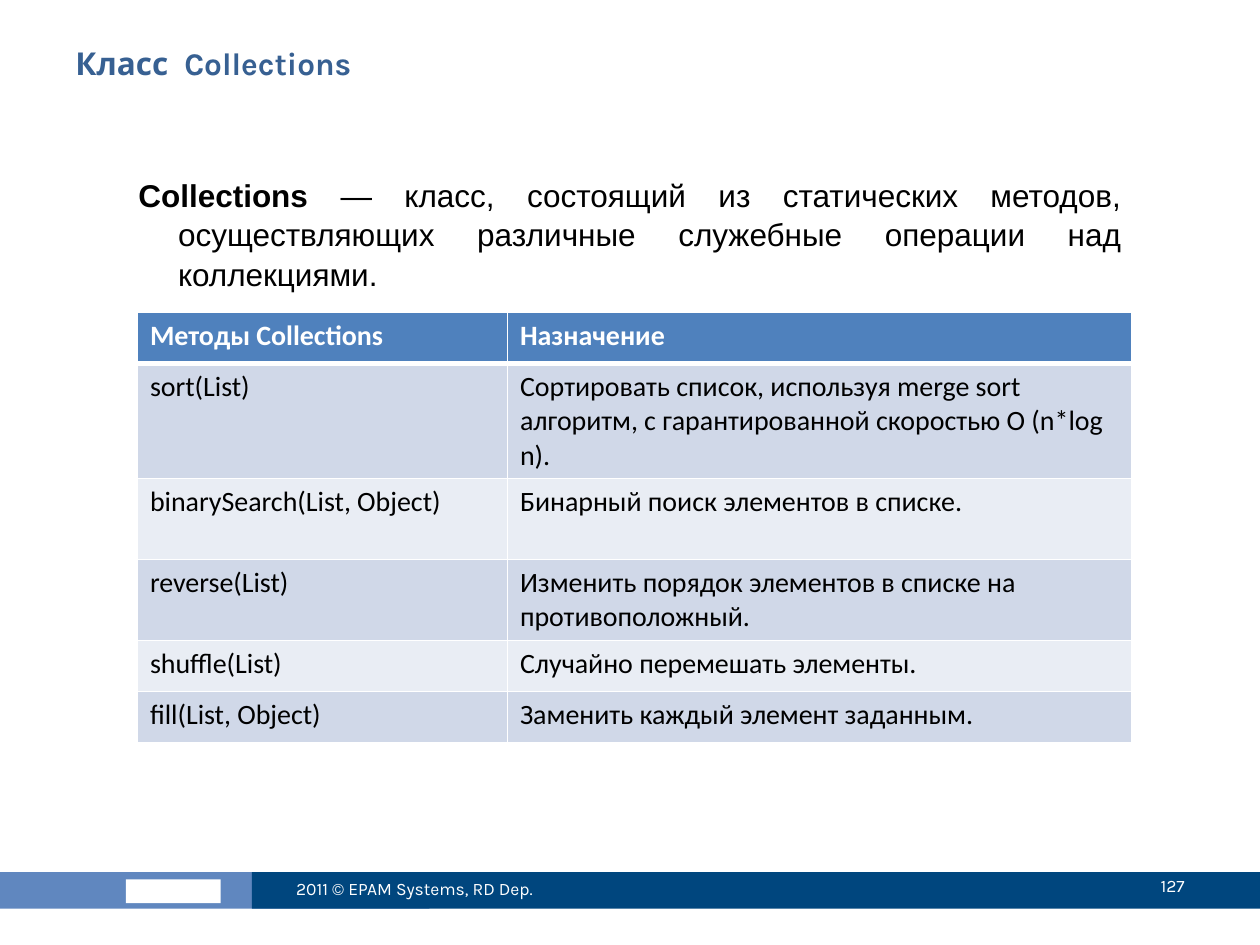
from dataclasses import dataclass

from lxml import etree
from pptx import Presentation
from pptx.dml.color import RGBColor
from pptx.enum.shapes import MSO_SHAPE
from pptx.enum.text import MSO_ANCHOR, PP_ALIGN
from pptx.oxml.ns import qn
from pptx.util import Cm, Pt

RECTANGLE = MSO_SHAPE.RECTANGLE
TOP, MIDDLE = MSO_ANCHOR.TOP, MSO_ANCHOR.MIDDLE
LEFT, RIGHT, JUSTIFY = PP_ALIGN.LEFT, PP_ALIGN.RIGHT, PP_ALIGN.JUSTIFY


@dataclass(frozen=True)
class Theme:
    title: str = "376092"
    text: str = "000000"
    light: str = "FFFFFF"
    footer_accent: str = "6087BF"
    footer: str = "00467E"
    table_header: str = "4F81BD"
    bands: tuple = ("D0D8E8", "E9EDF4")
    heading_font: str = "Karla"
    body_font: str = "Arial"
    table_font: str = "Calibri"
    body_size: int = 18
    table_size: int = 16
    footer_size: int = 10
    thin: int = 1
    thick: int = 3


THEME = Theme()

METHODS = [
    ("Методы Collections", "Назначение"),
    ("sort(List)", "Cортировать список, используя merge sort алгоритм, "
                   "с гарантированной скоростью O (n*log n)."),
    ("binarySearch(List, Object)", "Бинарный поиск элементов в списке."),
    ("reverse(List)", "Изменить порядок элементов в списке на противоположный."),
    ("shuffle(List)", "Случайно перемешать элементы."),
    ("fill(List, Object)", "Заменить каждый элемент заданным."),
]
COLUMN_WIDTHS = (7.46, 12.58)
ROW_HEIGHTS = (1.03, 2.32, 1.63, 1.63, 1.03, 1.03)


def write(paragraph, text, *, font, size, color, bold=False):
    run = paragraph.add_run()
    run.text = text
    run.font.name = font
    run.font.size = Pt(size)
    run.font.bold = bold
    run.font.color.rgb = RGBColor.from_string(color)


def add_text_area(slide, left, top, width, height, *, anchor=TOP, align=LEFT):
    frame = slide.shapes.add_textbox(Cm(left), Cm(top), Cm(width), Cm(height)).text_frame
    frame.word_wrap = True
    frame.vertical_anchor = anchor
    paragraph = frame.paragraphs[0]
    paragraph.alignment = align
    return paragraph


def add_block(slide, left, top, width, height, color):
    block = slide.shapes.add_shape(RECTANGLE, Cm(left), Cm(top), Cm(width), Cm(height))
    block.shadow.inherit = False
    block.fill.solid()
    block.fill.fore_color.rgb = RGBColor.from_string(color)
    block.line.fill.background()


def add_border(cell, side, width):
    border = etree.SubElement(cell._tc.get_or_add_tcPr(), qn(f"a:ln{side}"), w=str(Pt(width)))
    fill = etree.SubElement(border, qn("a:solidFill"))
    etree.SubElement(fill, qn("a:srgbClr"), val=THEME.light)


def style_cell(cell, row):
    widths = {
        "L": THEME.thin,
        "R": THEME.thin,
        "T": THEME.thick if row == 1 else THEME.thin,
        "B": THEME.thick if row == 0 else THEME.thin,
    }
    for side, width in widths.items():
        add_border(cell, side, width)
    color = THEME.bands[(row - 1) % 2] if row else THEME.table_header
    cell.fill.solid()
    cell.fill.fore_color.rgb = RGBColor.from_string(color)


def add_methods_table(slide):
    table = slide.shapes.add_table(
        len(METHODS), len(COLUMN_WIDTHS), Cm(2.77), Cm(6.3),
        Cm(sum(COLUMN_WIDTHS)), Cm(sum(ROW_HEIGHTS)),
    ).table
    for column, width in zip(table.columns, COLUMN_WIDTHS):
        column.width = Cm(width)
    for row, (entries, height) in enumerate(zip(METHODS, ROW_HEIGHTS)):
        table.rows[row].height = Cm(height)
        for column, entry in enumerate(entries):
            cell = table.cell(row, column)
            style_cell(cell, row)
            write(cell.text_frame.paragraphs[0], entry, font=THEME.table_font,
                  size=THEME.table_size, bold=row == 0,
                  color=THEME.text if row else THEME.light)


def add_title(slide):
    title = add_text_area(slide, 1.27, 0.76, 22.86, 1.98)
    write(title, "Класс  Collections", font=THEME.heading_font,
          size=THEME.body_size, color=THEME.title, bold=True)


def add_definition(slide):
    definition = add_text_area(slide, 2.54, 3.38, 20.32, 13.34, align=JUSTIFY)
    definition.line_spacing = 1.05
    indent = definition._p.get_or_add_pPr()
    indent.set("marL", str(Cm(0.8)))
    indent.set("indent", str(-Cm(0.8)))
    body = dict(font=THEME.body_font, size=THEME.body_size, color=THEME.text)
    write(definition, "Collections", bold=True, **body)
    write(definition, " — класс, состоящий из статических методов, осуществляющих "
                      "различные служебные операции над коллекциями.", **body)


def add_footer(slide):
    add_block(slide, 0, 17.58, 8.66, 0.74, THEME.footer_accent)
    add_block(slide, 2.54, 17.73, 1.91, 0.48, THEME.light)
    add_block(slide, 5.08, 17.58, 20.32, 0.74, THEME.footer)
    style = dict(font=THEME.heading_font, size=THEME.footer_size, color=THEME.light)
    copyright_line = add_text_area(slide, 5.72, 17.4, 6.78, 1.02, anchor=MIDDLE)
    write(copyright_line, "2011 © EPAM Systems, RD Dep.", **style)
    page_number = add_text_area(slide, 21.39, 17.35, 2.74, 1.02, anchor=MIDDLE, align=RIGHT)
    write(page_number, "127", **style)


def main():
    presentation = Presentation()
    presentation.slide_width, presentation.slide_height = Cm(25.4), Cm(19.05)
    slide = presentation.slides.add_slide(presentation.slide_layouts[6])
    add_footer(slide)
    add_title(slide)
    add_definition(slide)
    add_methods_table(slide)
    presentation.save("out.pptx")


if __name__ == "__main__":
    main()
